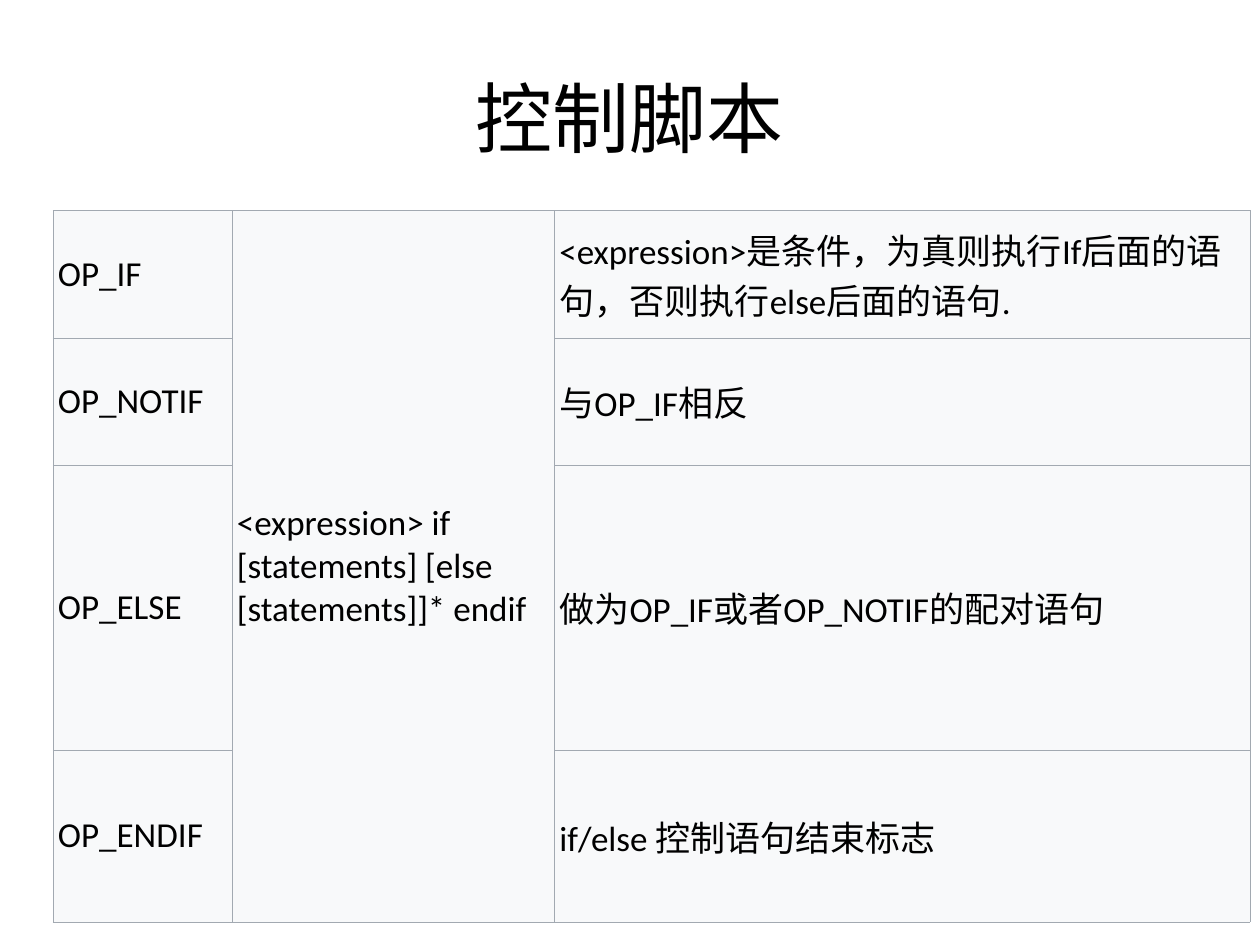
from lxml import etree
from pptx import Presentation
from pptx.dml.color import RGBColor
from pptx.enum.text import MSO_ANCHOR, PP_ALIGN
from pptx.oxml.ns import qn
from pptx.util import Inches, Pt

MIDDLE = MSO_ANCHOR.MIDDLE
LEFT, CENTER = PP_ALIGN.LEFT, PP_ALIGN.CENTER
COLORS = {"text": "000000", "cell": "F8F9FA", "border": "A2A9B1"}

COLUMN_WIDTHS = [1.42, 2.56, 5.52]
ROW_HEIGHTS = [1.01, 1.01, 2.26, 1.37]
SYNTAX = "<expression> if [statements] [else [statements]]* endif"
OPCODES = [
    ("OP_IF", "<expression>是条件，为真则执行If后面的语句，否则执行else后面的语句."),
    ("OP_NOTIF", "与OP_IF相反"),
    ("OP_ELSE", "做为OP_IF或者OP_NOTIF的配对语句"),
    ("OP_ENDIF", "if/else 控制语句结束标志"),
]


def write_text(frame, text, font="Calibri", size=20, align=LEFT):
    frame.word_wrap = True
    para = frame.paragraphs[0]
    para.alignment = align
    span = para.add_run()
    span.text = text
    span.font.name = font
    span.font.size = Pt(size)
    span.font.color.rgb = RGBColor.from_string(COLORS["text"])


def add_title(page, text):
    box = page.shapes.add_textbox(Inches(0.5), Inches(0.3), Inches(9), Inches(1.25))
    box.text_frame.vertical_anchor = MIDDLE
    write_text(box.text_frame, text, font="Courier New", size=44, align=CENTER)


def format_cell(cell):
    cell.vertical_anchor = MIDDLE
    cell.margin_left = cell.margin_right = Inches(0.04)
    cell.margin_top = cell.margin_bottom = Inches(0.05)
    # Borders come before the fill in the cell properties
    properties = cell._tc.get_or_add_tcPr()
    for side in ("a:lnL", "a:lnR", "a:lnT", "a:lnB"):
        line = etree.SubElement(properties, qn(side), w=str(Pt(0.17)))
        fill = etree.SubElement(line, qn("a:solidFill"))
        etree.SubElement(fill, qn("a:srgbClr"), val=COLORS["border"])
    cell.fill.solid()
    cell.fill.fore_color.rgb = RGBColor.from_string(COLORS["cell"])


def add_opcode_table(page):
    frame = page.shapes.add_table(
        len(ROW_HEIGHTS), len(COLUMN_WIDTHS), Inches(0.42), Inches(1.67),
        Inches(sum(COLUMN_WIDTHS)), Inches(sum(ROW_HEIGHTS)))
    table = frame.table
    table.first_row = table.horz_banding = False
    for column, width in zip(table.columns, COLUMN_WIDTHS):
        column.width = Inches(width)
    for row, height in zip(table.rows, ROW_HEIGHTS):
        row.height = Inches(height)
    for cell in table.iter_cells():
        format_cell(cell)

    # One syntax cell spans all opcodes
    table.cell(0, 1).merge(table.cell(len(OPCODES) - 1, 1))
    write_text(table.cell(0, 1).text_frame, SYNTAX)
    for index, (opcode, meaning) in enumerate(OPCODES):
        write_text(table.cell(index, 0).text_frame, opcode)
        write_text(table.cell(index, 2).text_frame, meaning)


def main():
    deck = Presentation()
    deck.slide_width, deck.slide_height = Inches(10), Inches(7.5)
    page = deck.slides.add_slide(deck.slide_layouts[6])
    add_title(page, "控制脚本")
    add_opcode_table(page)
    deck.save("out.pptx")


if __name__ == "__main__":
    main()
